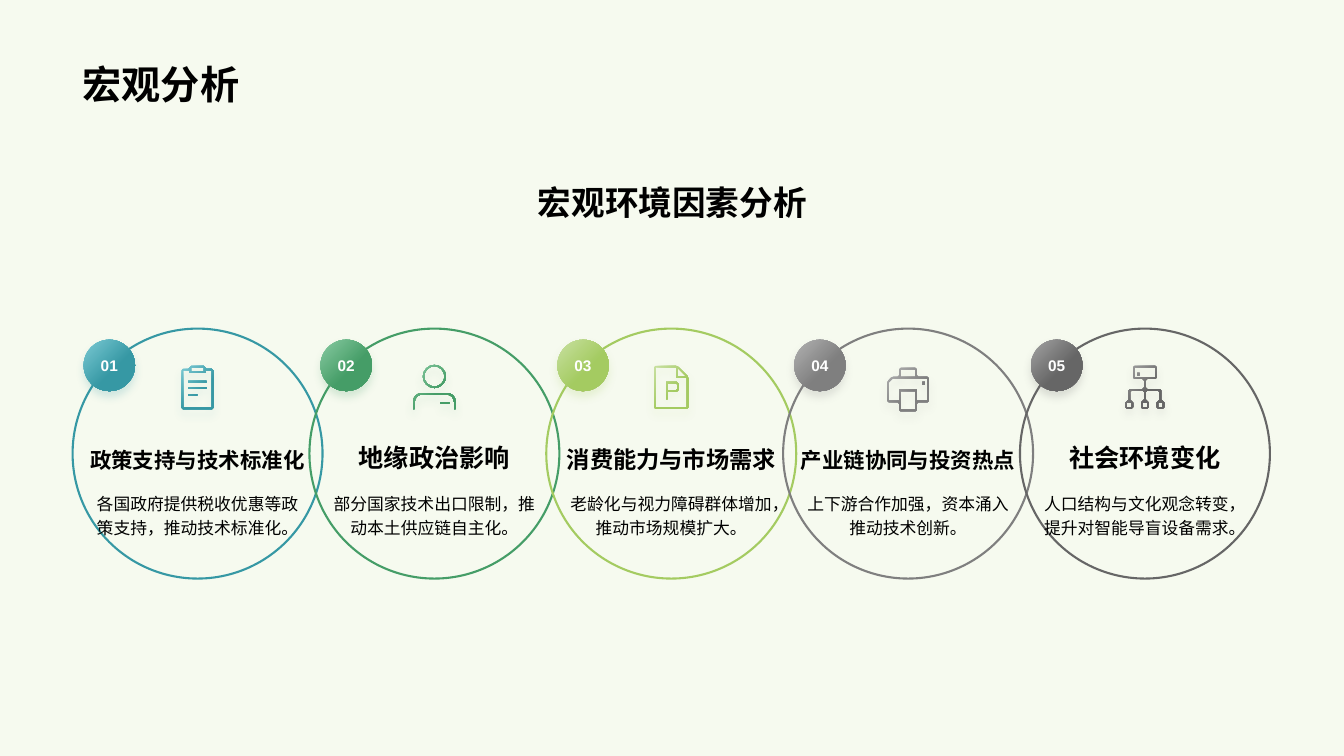
from math import dist

from lxml.etree import SubElement
from pptx import Presentation
from pptx.dml.color import RGBColor as RGB
from pptx.enum.shapes import MSO_SHAPE as SHAPE
from pptx.enum.text import MSO_ANCHOR as ANCHOR, MSO_AUTO_SIZE as AUTOSIZE, PP_ALIGN as ALIGN
from pptx.oxml.ns import qn
from pptx.util import Pt

PX = 4572
FONT = "Arial"
PITCH, RING, STROKE = 470, 496, 3
COLORS = {
    "ink": "000000", "white": "FFFFFF", "back": "F6FAEF",
    "teal": "3698A4", "teal_light": "7BCAD4",
    "green": "459D67", "green_light": "89CBA2",
    "lime": "A4CB61", "lime_light": "C8E0A0",
    "gray": "7F7F7F", "gray_light": "B2B2B2",
    "dark": "666666", "dark_light": "A3A3A3",
}


def rect(x, y, w, h):
    """Return the corners of a rectangle."""
    return [(x, y), (x + w, y), (x + w, y + h), (x, y + h)]


def rounded(points, radius):
    """Return the outline with large corners turned into arcs and small ones cut."""
    steps = (0, 0.25, 0.5, 0.75, 1) if radius > 9 else (0, 1)
    out = []
    for i, corner in enumerate(points):
        sides = (points[i - 1], points[(i + 1) % len(points)])
        cut = min(radius, *(dist(corner, side) / 2 for side in sides))
        a, b = ([c + (e - c) * cut / dist(corner, side) for c, e in zip(corner, side)]
                for side in sides)
        for t in steps:
            wa, wc, wb = (1 - t) ** 2, 1.41 * t * (1 - t), t ** 2
            out.append(tuple((wa * p + wc * c + wb * q) / (wa + wc + wb)
                             for p, c, q in zip(a, corner, b)))
    return out


CLIPBOARD = [
    ([(16, 6), (16, 0), (47, 0), (47, 6), (63, 6), (63, 86), (0, 86), (0, 6)], 3),
    ([(3, 9), (16, 9), (16, 14), (47, 14), (47, 9), (60, 9), (60, 83), (3, 83)], 0),
    (rect(19, 3, 25, 8), 0),
    *((rect(13, y, w, STROKE), 0) for y, w in ((30, 36), (42, 36), (56, 18))),
]
PERSON = [
    (rect(19, 0, 46, 46), 23),
    (rect(22, 3, 40, 40), 20),
    ([(0, 88), (0, 56), (84, 56), (84, 88), (81, 88), (81, 59), (3, 59), (3, 88)], 16),
    (rect(54, 74, 18, STROKE), 0),
]
DOCUMENT = [
    ([(0, 0), (46, 0), (68, 22), (68, 85), (0, 85)], 3),
    ([(3, 3), (44, 3), (44, 24), (65, 24), (65, 82), (3, 82)], 0),
    ([(47, 4), (47, 21), (64, 21)], 0),
    ([(24, 32), (45, 32), (49, 36), (49, 47), (45, 51), (27, 51), (27, 66), (24, 66)], 0),
    ([(27, 35), (44, 35), (46, 37), (46, 46), (44, 48), (27, 48)], 0),
]
PRINTER = [
    ([(24, 18), (24, 0), (59, 0), (59, 18), (83, 18), (83, 68), (59, 68), (59, 86),
      (24, 86), (24, 68), (0, 68), (0, 28), (9, 18)], 3),
    (rect(27, 3, 29, 15), 0),
    ([(11, 21), (80, 21), (80, 65), (59, 65), (59, 43), (24, 43), (24, 65), (3, 65),
      (3, 29)], 0),
    (rect(27, 46, 29, 37), 0),
    (rect(70, 28, 5, 5), 0),
]
NETWORK = [
    ([(15, 0), (62, 0), (62, 26), (40, 26), (40, 46), (71, 46), (71, 70), (77, 70),
      (77, 85), (62, 85), (62, 70), (68, 70), (68, 49), (40, 49), (40, 70), (46, 70),
      (46, 85), (31, 85), (31, 70), (37, 70), (37, 49), (9, 49), (9, 70), (15, 70),
      (15, 85), (0, 85), (0, 70), (6, 70), (6, 46), (37, 46), (37, 26), (15, 26)], 3),
    (rect(18, 3, 41, 20), 0),
    *((rect(x + 3, 73, 9, 9), 0) for x in (0, 31, 62)),
    (rect(23, 14, 5, 5), 0),
]
FACTORS = [
    ("政策支持与技术标准化", 15.3, "各国政府提供税收优惠等政策支持，推动技术标准化。", "teal", CLIPBOARD, 74),
    ("地缘政治影响", 18, "部分国家技术出口限制，推动本土供应链自主化。", "green", PERSON, 72),
    ("消费能力与市场需求", 16.6, "老龄化与视力障碍群体增加，推动市场规模扩大。", "lime", DOCUMENT, 74),
    ("产业链协同与投资热点", 15.3, "上下游合作加强，资本涌入推动技术创新。", "gray", PRINTER, 78),
    ("社会环境变化", 18, "人口结构与文化观念转变，提升对智能导盲设备需求。", "dark", NETWORK, 74),
]


def rgb(name):
    """Return a named colour."""
    return RGB.from_string(COLORS[name])


def emu(*lengths):
    """Turn px lengths into EMU."""
    return [round(n * PX) for n in lengths]


def write(s, text, size, bold=False, color="ink", align=ALIGN.CENTER, anchor=ANCHOR.TOP,
          wrap=True, spacing=None):
    """Put one formatted paragraph into a shape."""
    tf = s.text_frame
    tf.word_wrap, tf.auto_size, tf.vertical_anchor = wrap, AUTOSIZE.NONE, anchor
    p = tf.paragraphs[0]
    p.alignment, p.line_spacing = align, spacing
    r = p.add_run()
    r.text = text
    r.font.name, r.font.size, r.font.bold = FONT, Pt(size), bold
    r.font.color.rgb = rgb(color)


def add_text(sp, box, text, size, **style):
    """Add a text box."""
    write(sp.add_textbox(*emu(*box)), text, size, **style)


def glow(s, color):
    """Give a shape a diagonal gradient and a soft shadow of its colour."""
    s.line.fill.background()
    s.fill.gradient()
    s.fill.gradient_angle = 315
    light, deep = s.fill.gradient_stops
    light.color.rgb, light.position = rgb(color + "_light"), 0
    deep.color.rgb, deep.position = rgb(color), 0.6
    s.shadow.inherit = False
    effects = s._element.spPr.find(qn("a:effectLst"))
    shadow = SubElement(effects, qn("a:outerShdw"), blurRad=str(Pt(6)), dist=str(Pt(4)),
                        dir="5400000", algn="t", rotWithShape="0")
    tint = SubElement(shadow, qn("a:srgbClr"), val=COLORS[color])
    SubElement(tint, qn("a:alpha"), val="20000")


def add_icon(sp, center, top, outlines, color):
    """Draw an icon from its outlines, centred on a vertical axis."""
    width = max(x for points, _ in outlines for x, _ in points)
    builder = None
    for points, radius in outlines:
        path = [emu(*point) for point in (rounded(points, radius) if radius else points)]
        if builder is None:
            builder = sp.build_freeform(*path[0])
        else:
            builder.move_to(*path[0])
        builder.add_line_segments(path[1:], close=True)
    glow(builder.convert_to_shape(*emu(center - width / 2, top)), color)


def add_factor(sp, x, y, number, factor):
    """Draw one ring with its number, icon, heading and description."""
    heading, size, description, color, outlines, icon_top = factor
    ring = sp.add_shape(SHAPE.OVAL, *emu(x, y, RING, RING))
    ring.fill.background()
    ring.line.color.rgb, ring.line.width = rgb(color), Pt(1.5)
    ring.shadow.inherit = False
    badge = sp.add_shape(SHAPE.OVAL, *emu(x + 22, y + 22, 102, 102))
    glow(badge, color)
    write(badge, f"{number:02}", 11, bold=True, color="white", anchor=ANCHOR.MIDDLE, wrap=False)
    add_icon(sp, x + RING / 2, y + icon_top, outlines, color)
    add_text(sp, (x + 14, y + 204, 468, 92), heading, size, bold=True, anchor=ANCHOR.BOTTOM)
    add_text(sp, (x + 14, y + 310, 468, 134), description, 12, spacing=1.2)


def add_title(s, box, text):
    """Place and format the slide title."""
    s.left, s.top, s.width, s.height = emu(*box)
    write(s, text, 28, bold=True, align=ALIGN.LEFT, anchor=ANCHOR.BOTTOM)


def main():
    """Build and save the slide."""
    prs = Presentation()
    prs.slide_width, prs.slide_height = emu(2667, 1500)
    slide = prs.slides.add_slide(prs.slide_layouts[5])
    slide.background.fill.solid()
    slide.background.fill.fore_color.rgb = rgb("back")
    sp = slide.shapes
    add_title(sp.title, (144, 28, 2376, 196), "宏观分析")
    add_text(sp, (146, 352, 2376, 204), "宏观环境因素分析", 24, bold=True)
    for i, factor in enumerate(FACTORS):
        add_factor(sp, 144 + i * PITCH, 652, i + 1, factor)
    prs.save("out.pptx")


if __name__ == "__main__":
    main()
